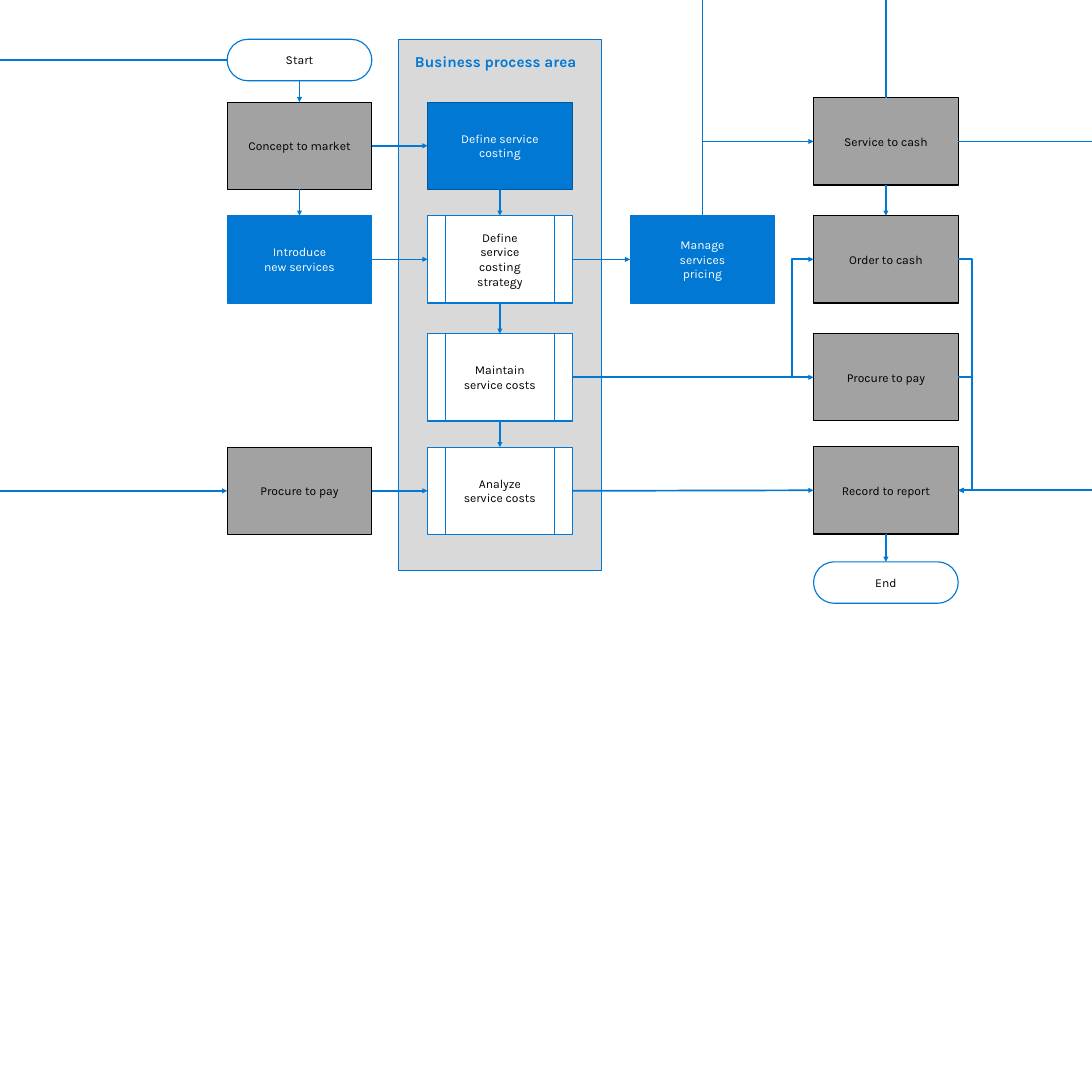
from dataclasses import dataclass

from lxml import etree
from pptx import Presentation
from pptx.dml.color import RGBColor
from pptx.enum import shapes as kinds, text as txt
from pptx.oxml import ns
from pptx.shapes.autoshape import Shape
from pptx.shapes.connector import Connector
from pptx.util import Inches, Length, Pt

BLUE = RGBColor(0x00, 0x78, 0xD4)
DARK_BLUE = RGBColor(0x00, 0x59, 0x9D)
GRAY = RGBColor(0xA2, 0xA2, 0xA2)
LIGHT_GRAY = RGBColor(0xD9, 0xD9, 0xD9)
BLACK = RGBColor(0, 0, 0)
WHITE = RGBColor(0xFF, 0xFF, 0xFF)

RECT = kinds.MSO_SHAPE.RECTANGLE
TERMINAL = kinds.MSO_SHAPE.ROUNDED_RECTANGLE
PROCESS = kinds.MSO_SHAPE.FLOWCHART_PREDEFINED_PROCESS
STRAIGHT = kinds.MSO_CONNECTOR.STRAIGHT
ELBOW = kinds.MSO_CONNECTOR.ELBOW
TOP, LEFT, BOTTOM, RIGHT = range(4)

SLIDE_SIDE = 20
STEP_WIDTH, STEP_HEIGHT, TERMINAL_HEIGHT = 2.65, 1.6, 0.76
INTAKE, AREA, PRICING, OUTCOME = 4.16, 7.83, 11.54, 14.9
ROW_1, ROW_2, ROW_3, ROW_4 = 1.87, 3.95, 6.11, 8.19
FRAME_FORMAT = {
    "margin_left": Inches(0.3), "margin_right": Inches(0.3),
    "margin_top": Inches(0.24), "margin_bottom": Inches(0.24),
    "word_wrap": True,
}


@dataclass(frozen=True)
class Style:
    kind: kinds.MSO_SHAPE
    fill: RGBColor
    line: RGBColor
    ink: RGBColor
    size: int = 16
    bold: bool = False
    align: txt.PP_ALIGN = txt.PP_ALIGN.CENTER
    anchor: txt.MSO_ANCHOR = txt.MSO_ANCHOR.MIDDLE


@dataclass(frozen=True)
class Step:
    label: str
    left: float
    top: float
    style: Style
    width: float = STEP_WIDTH
    height: float = STEP_HEIGHT


@dataclass(frozen=True)
class Link:
    source: str
    source_side: int
    target: str
    target_side: int


@dataclass(frozen=True)
class EdgeLine:
    step: str
    side: int
    arrives: bool = False


PANEL = Style(RECT, LIGHT_GRAY, BLUE, BLUE, 20, True, txt.PP_ALIGN.LEFT, txt.MSO_ANCHOR.TOP)
ENDPOINT = Style(TERMINAL, WHITE, BLUE, BLACK)
EXTERNAL = Style(RECT, GRAY, BLACK, BLACK)
CURRENT = Style(RECT, BLUE, DARK_BLUE, WHITE)
RELATED = Style(PROCESS, BLUE, BLUE, WHITE)
SUBPROCESS = Style(PROCESS, WHITE, BLUE, BLACK)

STEPS = {
    "area": Step("Business process area", 7.3, 0.72, PANEL, 3.71, 9.73),
    "start": Step("Start", INTAKE, 0.72, ENDPOINT, height=TERMINAL_HEIGHT),
    "concept": Step("Concept to market", INTAKE, ROW_1, EXTERNAL),
    "introduce": Step("Introduce new services", INTAKE, ROW_2, RELATED),
    "procure": Step("Procure to pay", INTAKE, ROW_4, EXTERNAL),
    "costing": Step("Define service costing", AREA, ROW_1, CURRENT),
    "strategy": Step("Define service costing strategy", AREA, ROW_2, SUBPROCESS),
    "maintain": Step("Maintain service costs", AREA, ROW_3, SUBPROCESS),
    "analyze": Step("Analyze service costs", AREA, ROW_4, SUBPROCESS),
    "pricing": Step("Manage services pricing", PRICING, ROW_2, RELATED),
    "service": Step("Service to cash", OUTCOME, 1.79, EXTERNAL),
    "order": Step("Order to cash", OUTCOME, ROW_2, EXTERNAL),
    "pay": Step("Procure to pay", OUTCOME, ROW_3, EXTERNAL),
    "record": Step("Record to report", OUTCOME, 8.18, EXTERNAL),
    "end": Step("End", OUTCOME, 10.29, ENDPOINT, height=TERMINAL_HEIGHT),
}

DOWNWARD = [
    ("start", "concept"), ("concept", "introduce"), ("costing", "strategy"),
    ("strategy", "maintain"), ("maintain", "analyze"), ("service", "order"),
    ("record", "end"),
]
ACROSS = [
    ("concept", "costing"), ("introduce", "strategy"), ("procure", "analyze"),
    ("strategy", "pricing"), ("maintain", "pay"), ("analyze", "record"),
]
LINKS = [Link(a, BOTTOM, b, TOP) for a, b in DOWNWARD]
LINKS += [Link(a, RIGHT, b, LEFT) for a, b in ACROSS]
EDGE_LINES = [
    EdgeLine("start", LEFT), EdgeLine("procure", LEFT, True),
    EdgeLine("pricing", TOP), EdgeLine("service", TOP),
    EdgeLine("service", RIGHT), EdgeLine("record", RIGHT, True),
]


def side_point(step: Step, side: int) -> tuple[float, float]:
    center_x, center_y = step.left + step.width / 2, step.top + step.height / 2
    return {
        TOP: (center_x, step.top), LEFT: (step.left, center_y),
        BOTTOM: (center_x, step.top + step.height), RIGHT: (step.left + step.width, center_y),
    }[side]


def slide_edge(point: tuple[float, float], side: int) -> tuple[float, float]:
    x, y = point
    return {TOP: (x, 0), LEFT: (0, y), RIGHT: (SLIDE_SIDE, y)}[side]


def draw_step(slide, step: Step) -> Shape:
    style = step.style
    box = slide.shapes.add_shape(
        style.kind, *map(Inches, (step.left, step.top, step.width, step.height)))
    if style.kind == TERMINAL:
        box.adjustments[0] = 0.5
    box.shadow.inherit = False
    box.fill.solid()
    box.fill.fore_color.rgb = style.fill
    box.line.color.rgb = style.line
    box.line.width = Pt(1.5)
    frame = box.text_frame
    for name, value in (FRAME_FORMAT | {"vertical_anchor": style.anchor}).items():
        setattr(frame, name, value)
    label = frame.paragraphs[0]
    label.text = step.label
    label.alignment = style.align
    for name, value in {"name": "Karla", "size": Pt(style.size), "bold": style.bold}.items():
        setattr(label.font, name, value)
    label.font.color.rgb = style.ink
    return box


def draw_line(slide, begin: tuple[float, float], end: tuple[float, float],
              arrow: bool = True, bend: float | None = None) -> Connector:
    route = STRAIGHT if bend is None else ELBOW
    line = slide.shapes.add_connector(route, *map(Inches, begin + end))
    line.line.color.rgb = BLUE
    line.line.width = Pt(2.25)
    properties = line._element.spPr
    if arrow:
        etree.SubElement(line.line._get_or_add_ln(), ns.qn("a:tailEnd"), type="triangle")
    etree.SubElement(properties, ns.qn("a:effectLst"))
    if bend is not None:
        guides = properties.find(ns.qn("a:prstGeom")).get_or_add_avLst()
        etree.SubElement(guides, ns.qn("a:gd"), name="adj1", fmla=f"val {round(bend * 100000)}")
    return line


def draw_link(slide, boxes: dict[str, Shape], link: Link, bend: float | None = None) -> None:
    begin = side_point(STEPS[link.source], link.source_side)
    end = side_point(STEPS[link.target], link.target_side)
    line = draw_line(slide, begin, end, bend=bend)
    line.begin_connect(boxes[link.source], link.source_side)
    line.end_connect(boxes[link.target], link.target_side)


def draw_edge_line(slide, boxes: dict[str, Shape], edge: EdgeLine) -> None:
    inner = side_point(STEPS[edge.step], edge.side)
    outer = slide_edge(inner, edge.side)
    if edge.arrives:
        draw_line(slide, outer, inner).end_connect(boxes[edge.step], edge.side)
    else:
        draw_line(slide, inner, outer, arrow=False).begin_connect(boxes[edge.step], edge.side)


def main() -> None:
    deck = Presentation()
    deck.slide_width = deck.slide_height = Inches(SLIDE_SIDE)
    slide = deck.slides.add_slide(deck.slide_layouts[6])
    boxes = {key: draw_step(slide, step) for key, step in STEPS.items()}
    for link in LINKS:
        draw_link(slide, boxes, link)
    for edge in EDGE_LINES:
        draw_edge_line(slide, boxes, edge)

    draw_link(slide, boxes, Link("maintain", RIGHT, "order", LEFT), bend=0.91)
    service_entry = side_point(STEPS["service"], LEFT)
    pricing_x = side_point(STEPS["pricing"], TOP)[0]
    branch = draw_line(slide, (pricing_x, service_entry[1]), service_entry)
    branch.end_connect(boxes["service"], LEFT)

    record_x, record_y = side_point(STEPS["record"], RIGHT)
    for key in ("order", "pay"):
        draw_line(slide, side_point(STEPS[key], RIGHT), (record_x + 0.01, record_y), bend=25)
    deck.save("out.pptx")


if __name__ == "__main__":
    main()
